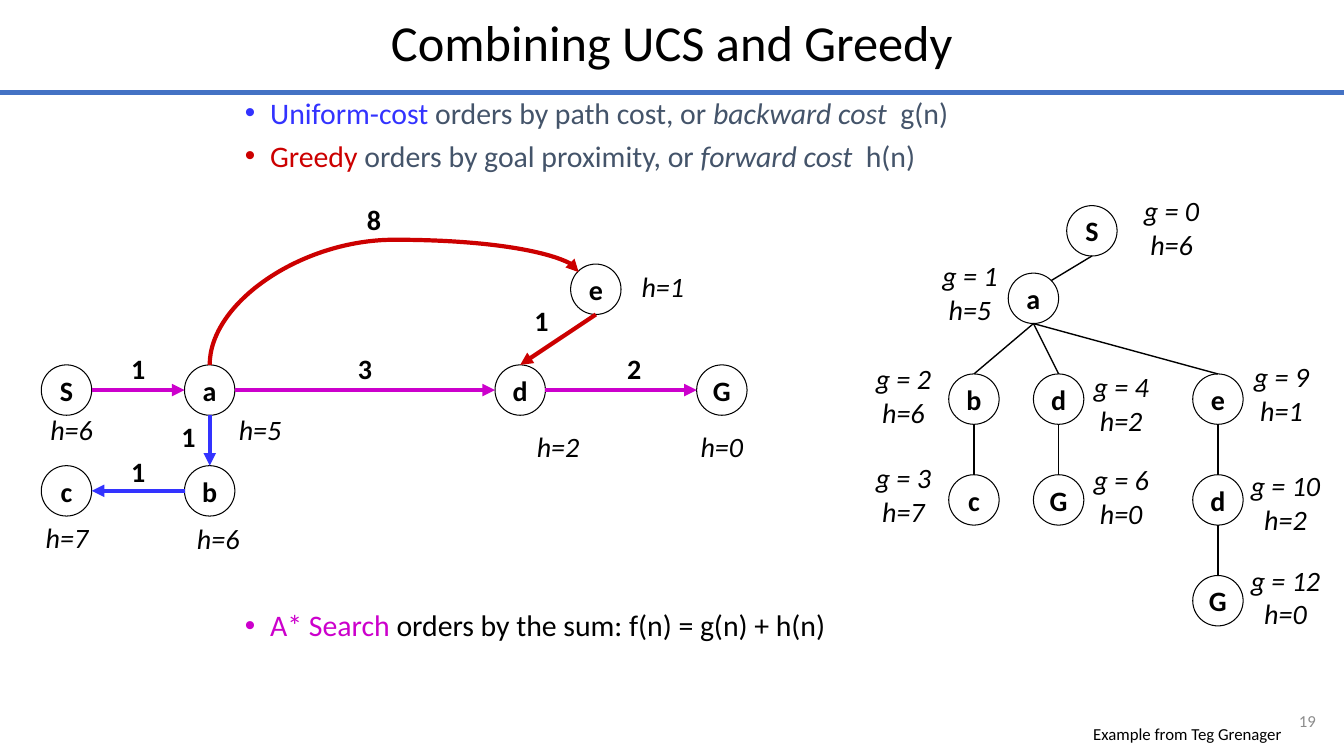
from math import cos, radians, sin

from lxml.etree import SubElement
from pptx import Presentation
from pptx.dml.color import RGBColor
from pptx.enum.shapes import MSO_CONNECTOR as Link, MSO_SHAPE as Preset
from pptx.enum.text import MSO_ANCHOR as Anchor, MSO_AUTO_SIZE as AutoSize, PP_ALIGN as Align
from pptx.oxml.ns import qn
from pptx.util import Inches, Pt

BLACK, WHITE, GREY, SLATE = "000000", "FFFFFF", "8C8C8C", "44546A"
RULE_BLUE, UCS_BLUE, GREEDY_RED, ASTAR_PURPLE = "4472C4", "3333FF", "CC0000", "CC00CC"
NODE_SIZE = 0.5
ANGLES = {"E": 0, "NE": 45, "N": 90, "W": 180, "S": 270}


def colour(hex_code):
    return RGBColor.from_string(hex_code)


class SlideBuilder:
    font_name = "Calibri"

    def __init__(self, slide):
        self.slide = slide

    def style(self, font, size, hex_code=BLACK, bold=False, italic=False):
        font.name = self.font_name
        font.size = Pt(size)
        font.color.rgb = colour(hex_code)
        font.bold = bold
        font.italic = italic

    def place(self, shape, left, top, width, height):
        shape.left, shape.top = Inches(left), Inches(top)
        shape.width, shape.height = Inches(width), Inches(height)

    def title(self, text, *box):
        heading = self.slide.shapes.title
        self.place(heading, *box)
        frame = heading.text_frame
        frame.text = text
        frame.vertical_anchor = Anchor.MIDDLE
        line = frame.paragraphs[0]
        line.alignment = Align.CENTER
        line.line_spacing = 0.9
        self.style(line.runs[0].font, 36)

    def bullets(self, items, *box):
        body = self.slide.placeholders[1]
        self.place(body, *box)
        frame = body.text_frame
        frame.auto_size = AutoSize.NONE
        frame.vertical_anchor = Anchor.TOP
        for index, (space_before, parts) in enumerate(items):
            item = frame.add_paragraph() if index else frame.paragraphs[0]
            props = item._p.get_or_add_pPr()
            props.set("marL", str(Inches(0.25)))
            props.set("indent", str(-Inches(0.25)))
            bullet_colour = SubElement(props, qn("a:buClr"))
            SubElement(bullet_colour, qn("a:srgbClr"), val=parts[0][1])
            SubElement(props, qn("a:buFont"), typeface="Arial")
            SubElement(props, qn("a:buChar"), char="•")
            item.line_spacing = 0.8
            item.space_before = Pt(space_before)
            for text, hex_code, italic in parts:
                run = item.add_run()
                run.text = text
                self.style(run.font, 21.3, hex_code, italic=italic)

    def label(self, text, left, top, width, height, size=20, hex_code=BLACK,
              align=Align.CENTER, anchor=Anchor.TOP, bold=False, italic=False):
        box = self.slide.shapes.add_textbox(
            Inches(left), Inches(top), Inches(width), Inches(height))
        frame = box.text_frame
        frame.word_wrap = True
        frame.vertical_anchor = anchor
        frame.text = text
        frame.paragraphs[0].alignment = align
        self.style(frame.paragraphs[0].runs[0].font, size, hex_code, bold, italic)

    def node(self, text, left, top):
        circle = self.slide.shapes.add_shape(
            Preset.OVAL, Inches(left), Inches(top), Inches(NODE_SIZE), Inches(NODE_SIZE))
        circle.shadow.inherit = False
        circle.fill.solid()
        circle.fill.fore_color.rgb = colour(WHITE)
        circle.line.color.rgb = colour(BLACK)
        circle.line.width = Pt(0.75)
        frame = circle.text_frame
        frame.word_wrap = False
        frame.vertical_anchor = Anchor.MIDDLE
        frame.text = text
        frame.paragraphs[0].alignment = Align.CENTER
        self.style(frame.paragraphs[0].runs[0].font, 20, bold=True)

    def line(self, start, end, hex_code, width, arrow=False, kind=Link.STRAIGHT):
        link = self.slide.shapes.add_connector(kind, *map(Inches, (*start, *end)))
        link.line.color.rgb = colour(hex_code)
        link.line.width = Pt(width)
        if arrow:
            SubElement(link.line._get_or_add_ln(), qn("a:tailEnd"), type="triangle")
        SubElement(link._element.spPr, qn("a:effectLst"))
        return link

    def arc(self, start, end, bulge, hex_code, width):
        centre_x, centre_y = (start[0] + end[0]) / 2, (start[1] + end[1]) / 2
        half_rise, half_run = (start[1] - end[1]) / 2, (end[0] - start[0]) / 2
        link = self.line((centre_x - half_rise, centre_y - half_run),
                         (centre_x + half_rise, centre_y + half_run),
                         hex_code, width, True, Link.CURVE)
        props = link._element.spPr
        props.find(qn("a:xfrm")).set("rot", str(270 * 60000))
        geometry = props.find(qn("a:prstGeom"))
        guides = geometry.find(qn("a:avLst"))
        if guides is None:
            guides = SubElement(geometry, qn("a:avLst"))
        SubElement(guides, qn("a:gd"), name="adj1", fmla=f"val {round(bulge * 100000)}")


def rim(corner, side):
    angle, radius = radians(ANGLES[side]), NODE_SIZE / 2
    return (corner[0] + radius + radius * cos(angle), corner[1] + radius - radius * sin(angle))


GRAPH = {"S": (0.41, 3.62), "a": (1.83, 3.62), "d": (4.91, 3.62), "G": (6.91, 3.62),
         "c": (0.41, 4.62), "b": (1.83, 4.62), "e": (5.66, 2.62)}
GRAPH_EDGES = [("a", "S", "b", "N", UCS_BLUE), ("b", "W", "c", "E", UCS_BLUE),
               ("e", "S", "d", "N", GREEDY_RED), ("S", "E", "a", "W", ASTAR_PURPLE),
               ("a", "E", "d", "W", ASTAR_PURPLE), ("d", "E", "G", "W", ASTAR_PURPLE)]
EDGE_COSTS = [("1", 1.08, 3.44), ("8", 3.42, 1.96), ("1", 1.08, 4.46), ("1", 1.58, 4.11),
              ("2", 6, 3.44), ("3", 3.33, 3.44), ("1", 5.08, 2.96)]
HEURISTICS = [("h=5", 2.08, 4.04, 1), ("h=6", 1.75, 5.12, 0.83), ("h=2", 5.16, 4.21, 0.75),
              ("h=6", 0.25, 4.04, 0.92), ("h=0", 6.66, 4.21, 1), ("h=7", 0.25, 5.11, 0.83),
              ("h=1", 6.16, 2.62, 0.83)]

TREE = {"S": (10.58, 2.04), "Sa": (10, 2.71), "Sab": (9.41, 3.71), "Sabc": (9.41, 4.71),
        "Sad": (10.25, 3.71), "SadG": (10.25, 4.71), "Sae": (11.83, 3.71),
        "Saed": (11.83, 4.71), "SaedG": (11.83, 5.71)}
TREE_COSTS = [("g = 0 h=6", 11.16, 1.87, 0.92), ("g = 1 h=5", 9.16, 2.52, 0.92),
              ("g = 2 h=6", 8.5, 3.54, 0.92), ("g = 3 h=7", 8.5, 4.52, 0.92),
              ("g = 4 h=2", 10.66, 3.62, 0.92), ("g = 6 h=0", 10.66, 4.54, 0.92),
              ("g = 9 h=1", 12.25, 3.52, 0.92), ("g = 10 h=2", 12.25, 4.6, 1),
              ("g = 12 h=0", 12.25, 5.54, 1)]

BULLETS = [
    (0, [("Uniform-cost ", UCS_BLUE, False), ("orders by path cost, or ", SLATE, False),
         ("backward cost  ", SLATE, True), ("g(n)", SLATE, False)]),
    (10, [("Greedy ", GREEDY_RED, False), ("orders by goal proximity, or ", SLATE, False),
          ("forward cost  ", SLATE, True), ("h(n)", SLATE, False)]),
    (315, [("A* Search", ASTAR_PURPLE, False),
           (" orders by the sum: f(n) = g(n) + h(n)", BLACK, False)]),
]


def main():
    deck = Presentation()
    deck.slide_width, deck.slide_height = Inches(13.33), Inches(7.5)
    page = SlideBuilder(deck.slides.add_slide(deck.slide_layouts[1]))

    page.title("Combining UCS and Greedy", 0, -0.02, 13.33, 0.94)
    page.line((0, 0.92), (13.33, 0.92), RULE_BLUE, 3.75)
    page.bullets(BULLETS, 2.33, 0.96, 9, 5.5)
    page.label("19", 12.47, 6.95, 0.68, 0.4, 12, GREY, Align.RIGHT, Anchor.MIDDLE)
    page.label("Example from Teg Grenager", 10.22, 7.13, 2.59, 0.29, 12, align=Align.RIGHT)

    for name, corner in GRAPH.items():
        page.node(name, *corner)
    for cost, left, top in EDGE_COSTS:
        page.label(cost, left, top, 0.58, 0.43, bold=True)
    for text, left, top, width in HEURISTICS:
        page.label(text, left, top, width, 0.43, italic=True)
    for source, leaving, target, entering, hex_code in GRAPH_EDGES:
        page.line(rim(GRAPH[source], leaving), rim(GRAPH[target], entering), hex_code, 3, True)
    page.arc(rim(GRAPH["a"], "N"), (5.74, 2.7), 1.35, GREEDY_RED, 3)

    for route, corner in TREE.items():
        page.node(route[-1], *corner)
        if len(route) > 1:
            entering = "NE" if route == "Sa" else "N"
            page.line(rim(TREE[route[:-1]], "S"), rim(corner, entering), BLACK, 1)
    for text, left, top, width in TREE_COSTS:
        page.label(text, left, top, width, 0.77, italic=True)

    deck.save("out.pptx")


if __name__ == "__main__":
    main()
